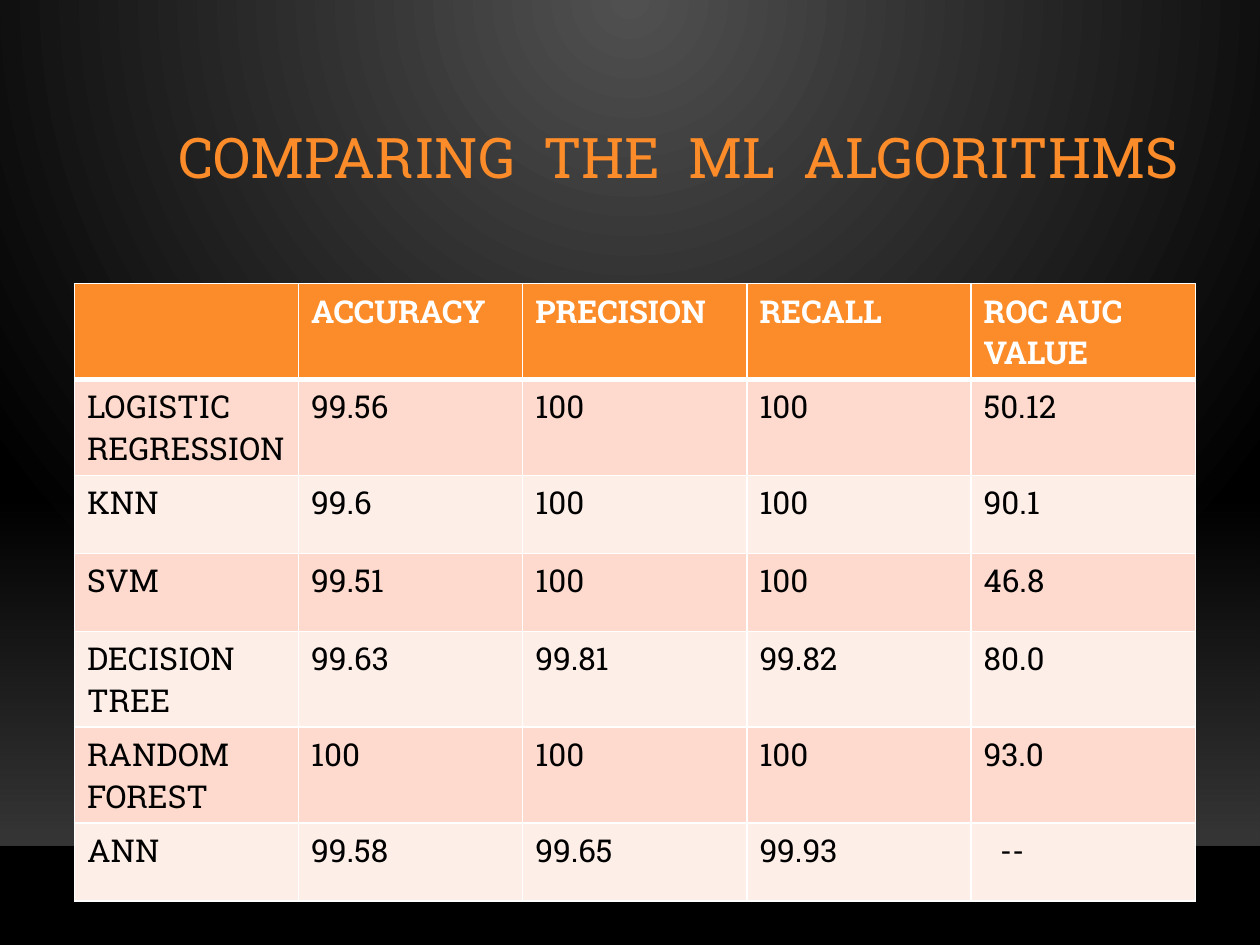
from dataclasses import dataclass

from pptx import Presentation
from pptx.dml.color import RGBColor
from pptx.enum.shapes import MSO_CONNECTOR, MSO_SHAPE
from pptx.enum.text import MSO_ANCHOR, MSO_AUTO_SIZE, PP_ALIGN
from pptx.oxml import parse_xml
from pptx.oxml.ns import nsdecls, qn
from pptx.util import Cm, Pt

RECTANGLE = MSO_SHAPE.RECTANGLE
STRAIGHT = MSO_CONNECTOR.STRAIGHT
MIDDLE = MSO_ANCHOR.MIDDLE
NO_FIT = MSO_AUTO_SIZE.NONE
CENTER = PP_ALIGN.CENTER
TITLE_ONLY = 5


@dataclass(frozen=True)
class Theme:
    font: str = "Roboto Slab"
    accent: str = "FB8C29"
    light: str = "FFFFFF"
    dark: str = "000000"
    horizon: str = "000001"
    glow: str = "505050"
    floor: str = "454545"
    bands: tuple = ("FDDACD", "FEEEE8")
    title_size: int = 32
    table_size: int = 18


class SlideBuilder:
    def __init__(self, page, theme):
        self.page = page
        self.theme = theme

    def add_span(self, para, text, size, color, bold=False):
        span = para.add_run()
        span.text = text
        span.font.name = self.theme.font
        span.font.size = Pt(size)
        span.font.bold = bold
        span.font.color.rgb = RGBColor.from_string(color)

    def gradient(self, holder, stops, direction):
        """Swap the solid fill of an element for a gradient."""
        stop_xml = "".join(
            f'<a:gs pos="{position * 1000}"><a:srgbClr val="{color}">'
            f'<a:alpha val="{opacity * 1000}"/></a:srgbClr></a:gs>'
            for position, color, opacity in stops)
        solid = next(holder.iter(qn("a:solidFill")))
        solid.getparent().replace(solid, parse_xml(
            f'<a:gradFill {nsdecls("a")} rotWithShape="1">'
            f"<a:gsLst>{stop_xml}</a:gsLst>{direction}</a:gradFill>"))

    def background(self):
        self.page.background.fill.solid()
        self.gradient(
            self.page.element, [(0, self.theme.glow, 100), (100, self.theme.dark, 100)],
            '<a:path path="circle"><a:fillToRect l="43000" t="0" r="43000" b="100000"/></a:path>')

    def floor(self, left, top, width, height):
        box = self.page.shapes.add_shape(RECTANGLE, left, top, width, height)
        box.shadow.inherit = False
        box.line.fill.background()
        box.fill.solid()
        self.gradient(box.element, [(0, self.theme.floor, 0), (100, self.theme.floor, 80)],
                      '<a:lin ang="5400000" scaled="0"/>')

    def horizon(self, left, top, width):
        line = self.page.shapes.add_connector(STRAIGHT, left, top, left + width, top)
        line.line.width = Pt(1)
        line.line.color.rgb = RGBColor.from_string(self.theme.horizon)
        color = next(line.element.spPr.iter(qn("a:srgbClr")))
        color.append(parse_xml(f'<a:alpha {nsdecls("a")} val="20000"/>'))
        line.element.spPr.append(parse_xml(f'<a:effectLst {nsdecls("a")}/>'))

    def title(self, text, left, top, width, height):
        box = self.page.shapes.title
        box.left, box.top, box.width, box.height = left, top, width, height
        self.page.shapes.element.append(box.element)  # in front of the floor
        frame = box.text_frame
        frame.word_wrap = True
        frame.auto_size = NO_FIT
        frame.vertical_anchor = MIDDLE
        para = frame.paragraphs[0]
        para.alignment = CENTER
        para.line_spacing = 0.9
        self.add_span(para, text, self.theme.title_size, self.theme.accent)

    def borders(self, cell, top, bottom):
        widths = {"lnL": 1, "lnR": 1, "lnT": top, "lnB": bottom}
        properties = cell._tc.get_or_add_tcPr()
        for index, (side, width) in enumerate(widths.items()):
            properties.insert(index, parse_xml(
                f'<a:{side} {nsdecls("a")} w="{Pt(width)}"><a:solidFill>'
                f'<a:srgbClr val="{self.theme.light}"/></a:solidFill></a:{side}>'))

    def table(self, rows, left, top, column_width, row_height):
        columns = len(rows[0])
        grid = self.page.shapes.add_table(
            len(rows), columns, left, top,
            column_width * columns, row_height * len(rows)).table
        for column in grid.columns:
            column.width = column_width
        for row_index, values in enumerate(rows):
            grid.rows[row_index].height = row_height
            header = row_index == 0
            fill = self.theme.accent if header else self.theme.bands[(row_index - 1) % 2]
            color = self.theme.light if header else self.theme.dark
            for column_index, value in enumerate(values):
                cell = grid.cell(row_index, column_index)
                cell.fill.solid()
                cell.fill.fore_color.rgb = RGBColor.from_string(fill)
                self.borders(cell, 3 if row_index == 1 else 1, 3 if header else 1)
                para = cell.text_frame.paragraphs[0]
                if value:
                    self.add_span(para, value, self.theme.table_size, color, header)
        return grid


deck = Presentation()
deck.slide_width, deck.slide_height = Cm(25.4), Cm(19.05)
slide = SlideBuilder(deck.slides.add_slide(deck.slide_layouts[TITLE_ONLY]), Theme())

# Backdrop
slide.background()
slide.floor(Cm(0), Cm(10.06), deck.slide_width, Cm(6.99))
slide.horizon(Cm(0), Cm(17.07), deck.slide_width)

# Title
slide.title("COMPARING  THE  ML  ALGORITHMS", Cm(1.09), Cm(1.73), Cm(25.2), Cm(3.02))

# Scores of each algorithm
SCORES = [
    ("", "ACCURACY", "PRECISION", "RECALL", "ROC AUC VALUE"),
    ("LOGISTIC REGRESSION", "99.56", "100", "100", "50.12"),
    ("KNN", "99.6", "100", "100", "90.1"),
    ("SVM", "99.51", "100", "100", "46.8"),
    ("DECISION TREE", "99.63", "99.81", "99.82", "80.0"),
    ("RANDOM FOREST", "100", "100", "100", "93.0"),
    ("ANN", "99.58", "99.65", "99.93", "--"),
]
scores = slide.table(SCORES, Cm(1.5), Cm(5.72), Cm(4.52), Cm(1.57))
scores.cell(len(SCORES) - 1, 4).margin_left = Cm(0.58)  # indent the missing value

deck.save("out.pptx")
